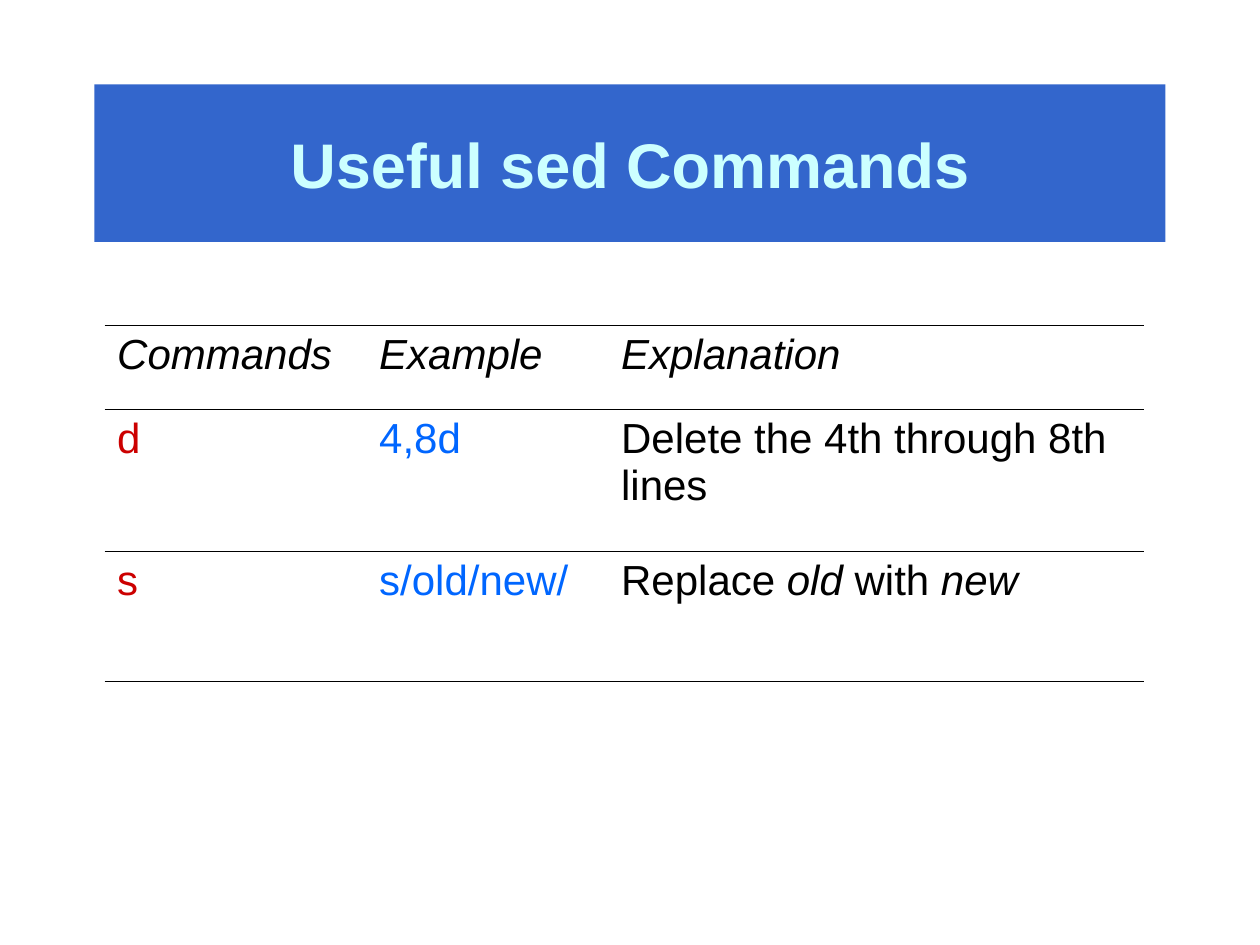
import pptx
import pptx.dml.color
import pptx.enum.shapes
import pptx.enum.text
import pptx.oxml.ns
import pptx.util
from lxml import etree
from pptx.util import Inches

COLORS = {
    "banner": "3366CC",
    "title": "CCFFFF",
    "text": "000000",
    "command": "CC0000",
    "example": "0066FF",
    "rule": "000000",
}
FONT = "Arial"
COLUMN_WIDTHS = [2.08, 1.92, 4.25]
ROW_HEIGHTS = [0.67, 1.13, 1.04]
COLUMN_COLORS = ["command", "example", "text"]
HEADINGS = ["Commands", "Example", "Explanation"]
COMMANDS = [
    ["d", "4,8d", [("Delete the 4th through 8th lines", False)]],
    ["s", "s/old/new/", [("Replace ", False), ("old", True), (" with ", False), ("new", True)]],
]


def rgb(name):
    return pptx.dml.color.RGBColor.from_string(COLORS[name])


def style_font(font, size, color):
    font.name = FONT
    font.size = pptx.util.Pt(size)
    font.color.rgb = rgb(color)


def rule_cell(cell):
    properties = cell._tc.get_or_add_tcPr()
    qn = pptx.oxml.ns.qn
    for side in ("L", "R"):
        edge = etree.SubElement(properties, qn(f"a:ln{side}"))
        etree.SubElement(edge, qn("a:noFill"))
    for side in ("T", "B"):
        edge = etree.SubElement(properties, qn(f"a:ln{side}"), w=str(pptx.util.Pt(0.45)))
        fill = etree.SubElement(edge, qn("a:solidFill"))
        etree.SubElement(fill, qn("a:srgbClr"), val=COLORS["rule"])
    cell.fill.background()


def fill_cell(cell, content, color, heading=False):
    paragraph = cell.text_frame.paragraphs[0]
    if isinstance(content, str):
        paragraph.text = content
        paragraph.font.italic = heading
    else:
        for words, italic in content:
            run = paragraph.add_run()
            run.text = words
            run.font.italic = italic
    style_font(paragraph.font, 24, color)
    rule_cell(cell)


def add_title_banner(slide, left, top, width, height):
    banner = slide.shapes.add_shape(
        pptx.enum.shapes.MSO_SHAPE.RECTANGLE, left, top, width, height)
    banner.shadow.inherit = False
    banner.fill.solid()
    banner.fill.fore_color.rgb = rgb("banner")
    banner.line.fill.background()
    banner.text_frame.word_wrap = True
    banner.text_frame.vertical_anchor = pptx.enum.text.MSO_ANCHOR.MIDDLE
    title = banner.text_frame.paragraphs[0]
    title.text = "Useful sed Commands"
    title.alignment = pptx.enum.text.PP_ALIGN.CENTER
    style_font(title.font, 36, "title")
    title.font.bold = True


def add_command_table(slide, left, top, width, height):
    table = slide.shapes.add_table(
        len(ROW_HEIGHTS), len(COLUMN_WIDTHS), left, top, width, height).table
    table.first_row = False
    table.horz_banding = False
    for column, share in zip(table.columns, COLUMN_WIDTHS):
        column.width = int(width * share / sum(COLUMN_WIDTHS))
    for row, share in zip(table.rows, ROW_HEIGHTS):
        row.height = int(height * share / sum(ROW_HEIGHTS))
    for column, heading in enumerate(HEADINGS):
        fill_cell(table.cell(0, column), heading, "text", heading=True)
    for row, command in enumerate(COMMANDS, start=1):
        for column, content in enumerate(command):
            fill_cell(table.cell(row, column), content, COLUMN_COLORS[column])


def main():
    presentation = pptx.Presentation()
    presentation.slide_width = Inches(10)
    presentation.slide_height = Inches(7.5)
    slide = presentation.slides.add_slide(presentation.slide_layouts[6])
    add_title_banner(slide, Inches(0.75), Inches(0.67), Inches(8.5), Inches(1.25))
    add_command_table(slide, Inches(0.83), Inches(2.58), Inches(8.25), Inches(2.83))
    presentation.save("out.pptx")


if __name__ == "__main__":
    main()
